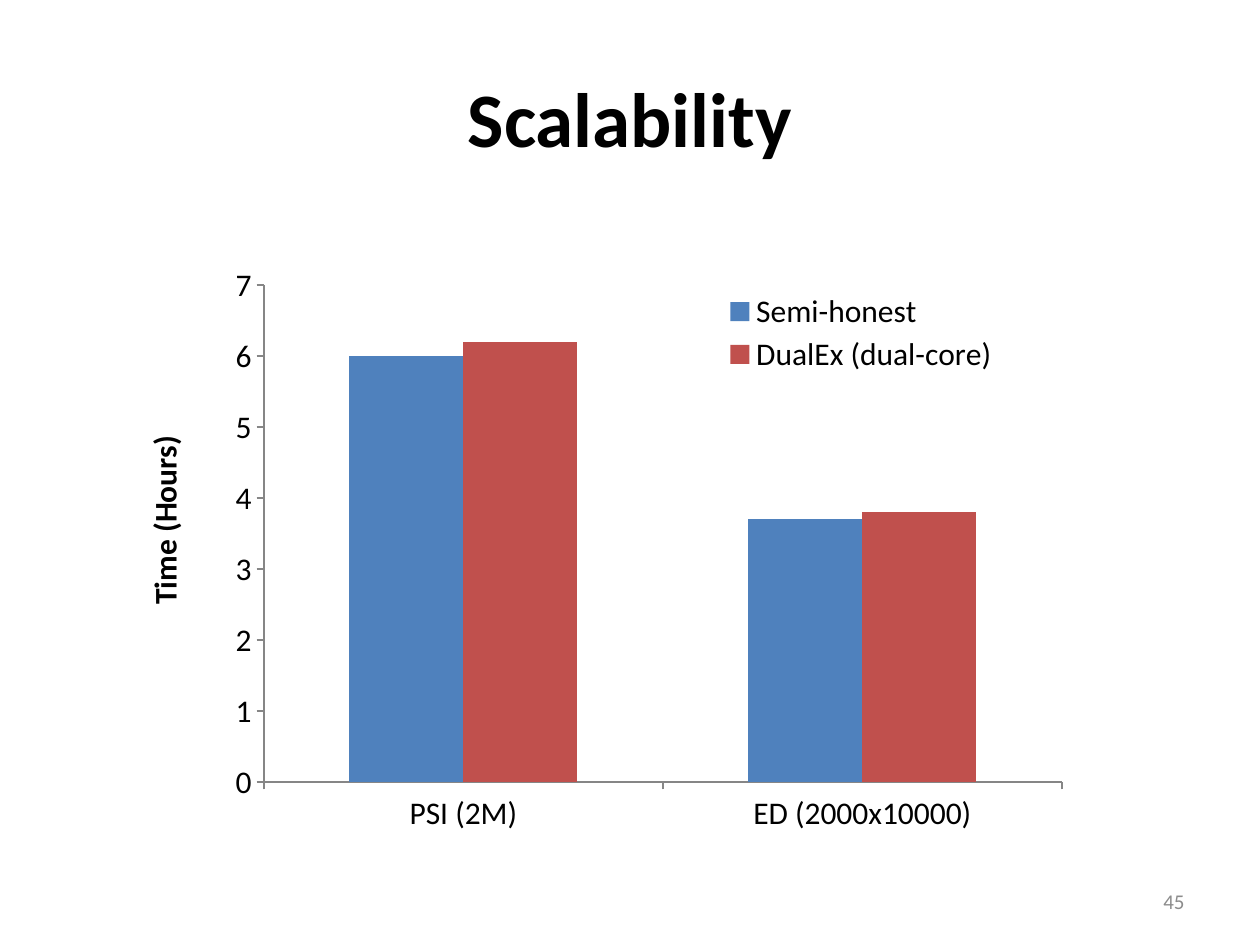
from dataclasses import dataclass

from lxml.etree import SubElement
from pptx import Presentation
from pptx.chart.data import CategoryChartData
from pptx.dml.color import RGBColor
from pptx.enum.chart import XL_CHART_TYPE as ChartType
from pptx.enum.chart import XL_LEGEND_POSITION as LegendPosition
from pptx.enum.chart import XL_TICK_MARK as TickMark
from pptx.enum.text import MSO_ANCHOR as Anchor
from pptx.enum.text import PP_ALIGN as Align
from pptx.oxml import parse_xml
from pptx.oxml.ns import nsdecls, qn
from pptx.util import Emu, Pt

TITLE = "Scalability"
PAGE_NUMBER = "45"
AXIS_TITLE = "Time (Hours)"
CATEGORIES = ["PSI (2M)", "ED (2000x10000)"]
SERIES = [
    ("Semi-honest", [6, 3.7], "4F81BD"),
    ("DualEx (dual-core)", [6.2, 3.8], "C0504D"),
]

SLIDE_SIZE = (1260, 945)
TITLE_BOX = (63, 38, 1134, 157)
CHART_BOX = (105, 252, 1040, 640)
PLOT_BOX = (264, 285, 798, 497)
LEGEND_BOX = (724, 288, 274, 90)
AXIS_TITLE_AT = (137, 430)
NUMBER_BOX = (903, 876, 294, 50)


@dataclass(frozen=True)
class Theme:
    font: str = "Calibri"
    ink: str = "000000"
    muted: str = "8C8C8C"
    axis: str = "868686"
    title_size: int = 44
    chart_size: int = 18
    number_size: int = 12


THEME = Theme()


def px(value):
    return Emu(round(value * 914400 / 126))


def style(font, size, color, bold=False):
    font.name = THEME.font
    font.size = Pt(size)
    font.bold = bold
    font.color.rgb = RGBColor.from_string(color)


def write(frame, text, align, size, color, bold=False):
    frame.word_wrap = True
    frame.vertical_anchor = Anchor.MIDDLE
    para = frame.paragraphs[0]
    para.alignment = align
    span = para.add_run()
    span.text = text
    style(span.font, size, color, bold)


def set_layout(element, index, box, inner=False):
    for old in element.findall(qn("c:layout")):
        element.remove(old)
    layout = parse_xml(f"<c:layout {nsdecls('c')}><c:manualLayout/></c:layout>")
    left, top, width, height = CHART_BOX
    shares = [(box[0] - left) / width, (box[1] - top) / height]
    if len(box) == 4:
        shares += [box[2] / width, box[3] / height]
    entries = [("layoutTarget", "inner")] if inner else []
    entries += [("xMode", "edge"), ("yMode", "edge")]
    entries += [(name, f"{share:.4f}") for name, share in zip("xywh", shares)]
    for name, value in entries:
        SubElement(layout[0], qn(f"c:{name}")).set("val", value)
    element.insert(index, layout)


def add_time_chart(page):
    data = CategoryChartData()
    data.categories = CATEGORIES
    for name, values, _ in SERIES:
        data.add_series(name, values)
    chart = page.shapes.add_chart(
        ChartType.COLUMN_CLUSTERED, *map(px, CHART_BOX), data
    ).chart
    style(chart.font, THEME.chart_size, THEME.ink)
    chart.has_title = False

    plot = chart.plots[0]
    plot.gap_width = 150
    plot.overlap = 0
    plot.vary_by_categories = False
    for series, (_, _, color) in zip(plot.series, SERIES):
        series.format.fill.solid()
        series.format.fill.fore_color.rgb = RGBColor.from_string(color)
    set_layout(chart._chartSpace.chart.plotArea, 0, PLOT_BOX, inner=True)

    for axis in (chart.category_axis, chart.value_axis):
        axis.has_major_gridlines = False
        axis.major_tick_mark = TickMark.OUTSIDE
        axis.minor_tick_mark = TickMark.NONE
        axis.format.line.color.rgb = RGBColor.from_string(THEME.axis)
        axis.format.line.width = Pt(0.75)

    scale = chart.value_axis
    scale.minimum_scale, scale.maximum_scale, scale.major_unit = 0, 7, 1
    frame = scale.axis_title.text_frame
    span = frame.paragraphs[0].add_run()
    span.text = AXIS_TITLE
    style(span.font, THEME.chart_size, THEME.ink, bold=True)
    body = frame._txBody.find(qn("a:bodyPr"))
    body.set("rot", "-5400000")
    body.set("vert", "horz")
    set_layout(scale.axis_title._element, 1, AXIS_TITLE_AT)

    chart.has_legend = True
    chart.legend.position = LegendPosition.RIGHT
    chart.legend.include_in_layout = False
    style(chart.legend.font, THEME.chart_size, THEME.ink)
    set_layout(chart.legend._element, 1, LEGEND_BOX)


def main():
    deck = Presentation()
    deck.slide_width, deck.slide_height = map(px, SLIDE_SIZE)
    page = deck.slides.add_slide(deck.slide_layouts[5])

    title = page.shapes.title
    title.left, title.top, title.width, title.height = map(px, TITLE_BOX)
    write(title.text_frame, TITLE, Align.CENTER, THEME.title_size, THEME.ink, True)

    add_time_chart(page)

    box = page.shapes.add_textbox(*map(px, NUMBER_BOX))
    write(box.text_frame, PAGE_NUMBER, Align.RIGHT, THEME.number_size, THEME.muted)
    deck.save("out.pptx")


if __name__ == "__main__":
    main()
